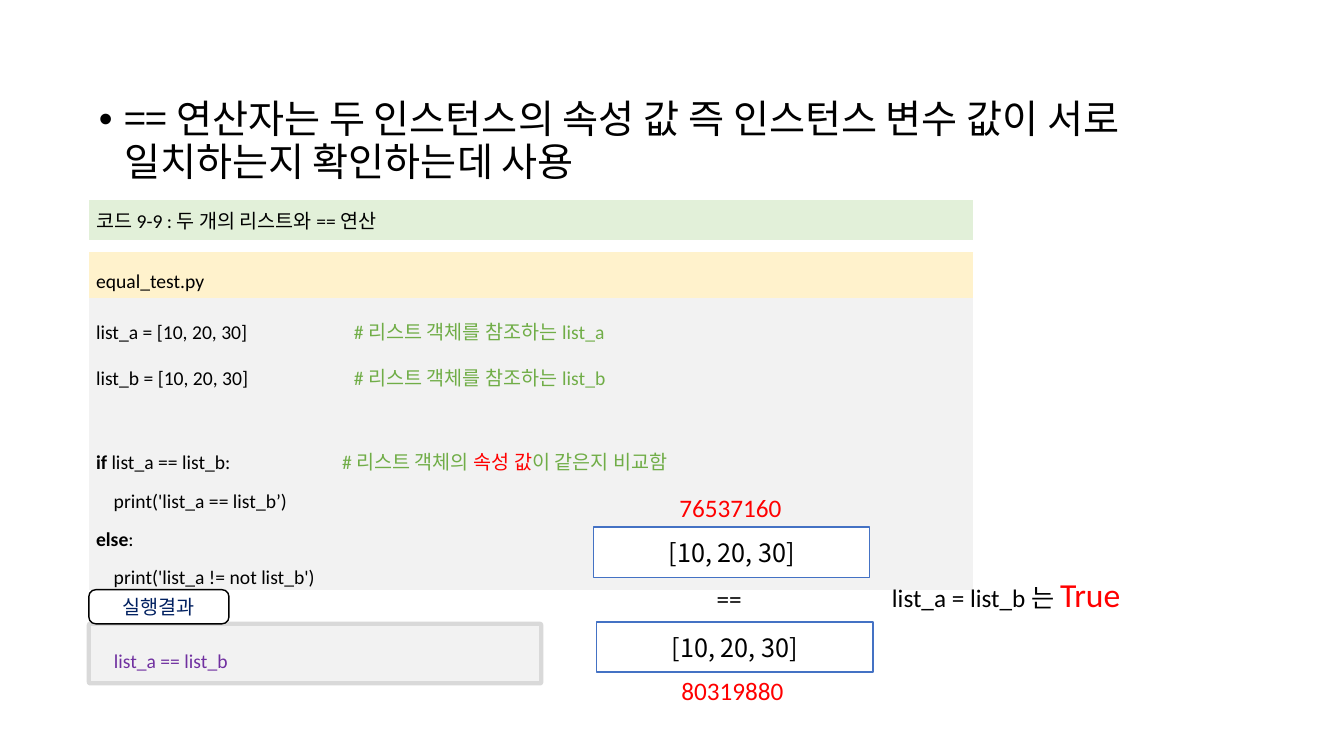
from pptx import Presentation
from pptx.dml.color import RGBColor
from pptx.enum.shapes import MSO_SHAPE
from pptx.enum.text import MSO_ANCHOR, MSO_AUTO_SIZE, PP_ALIGN
from pptx.oxml.ns import qn
from pptx.util import Cm, Pt
from lxml import etree

LEFT, CENTER, JUSTIFY = PP_ALIGN.LEFT, PP_ALIGN.CENTER, PP_ALIGN.JUSTIFY
MIDDLE = MSO_ANCHOR.MIDDLE
GROW = MSO_AUTO_SIZE.SHAPE_TO_FIT_TEXT
RECTANGLE, ROUNDED = MSO_SHAPE.RECTANGLE, MSO_SHAPE.ROUNDED_RECTANGLE
LATIN, KOREAN = "Calibri", "Noto Sans CJK KR"
BLACK, RED, GREEN = "000000", "FF0000", "70AD47"
NO_TABLE_STYLE = "{2D5ABB26-0587-4C30-8999-92F81FD0307C}"


def write(para, spans, size, font=LATIN, align=LEFT, spacing=None):
    """Fill a paragraph with (text, colour, bold) spans."""
    para.alignment = align
    para.line_spacing = spacing
    para.font.name = font
    para.font.size = Pt(size)
    for text, color, bold in spans:
        span = para.add_run()
        span.text = text
        span.font.color.rgb = RGBColor.from_string(color)
        if bold:
            span.font.bold = True


def add_box(kind, place, fill, line, width):
    box = slide.shapes.add_shape(kind, *[Cm(length) for length in place])
    box.shadow.inherit = False
    box.fill.solid()
    box.fill.fore_color.rgb = RGBColor.from_string(fill)
    box.line.color.rgb = RGBColor.from_string(line)
    box.line.width = Pt(width)
    box.text_frame.vertical_anchor = MIDDLE
    return box


deck = Presentation()
deck.slide_width, deck.slide_height = Cm(33.87), Cm(19.05)
slide = deck.slides.add_slide(deck.slide_layouts[6])

# Bulleted statement
statement = slide.shapes.add_textbox(Cm(2.24), Cm(2.39), Cm(29.21), Cm(2.5))
statement.text_frame.word_wrap = True
para = statement.text_frame.paragraphs[0]
properties = para._p.get_or_add_pPr()
properties.set("marL", str(Cm(0.64)))
properties.set("indent", str(-Cm(0.64)))
etree.SubElement(properties, qn("a:buFont"), typeface="Arial")
etree.SubElement(properties, qn("a:buChar"), char="•")
write(para, [("== 연산자는 두 인스턴스의 속성 값 즉 인스턴스 변수 값이 서로 일치하는지 확인하는데 사용", BLACK, False)],
      28, KOREAN, spacing=0.9)

# Code listing: caption, gap, file name, code
row_heights = [1.02, 0.3, 1.15, 7.38]
row_fills = ["E2F0D9", None, "FFF2CC", "F2F2F2"]
table = slide.shapes.add_table(4, 1, Cm(2.24), Cm(5.03), Cm(22.28), Cm(sum(row_heights))).table
table.first_row = table.horz_banding = False
table._tbl.tblPr.find(qn("a:tableStyleId")).text = NO_TABLE_STYLE
for row, height, fill in zip(table.rows, row_heights, row_fills):
    row.height = Cm(height)
    cell = row.cells[0]
    cell.vertical_anchor = MIDDLE
    cell.margin_left = cell.margin_right = Cm(0.18)
    cell.margin_top = cell.margin_bottom = Cm(0.05 if fill else 0)
    if fill:
        cell.fill.solid()
        cell.fill.fore_color.rgb = RGBColor.from_string(fill)
    else:
        cell.fill.background()
        cell.text_frame.paragraphs[0].font.size = Pt(1)

caption, file_name, code = [table.cell(row, 0).text_frame for row in (0, 2, 3)]
write(caption.paragraphs[0], [("코드 9-9 : 두 개의 리스트와 == 연산", BLACK, False)], 14)
write(file_name.paragraphs[0], [("equal_test.py", BLACK, False)], 14, align=JUSTIFY, spacing=1.6)
table.cell(3, 0).vertical_anchor = MSO_ANCHOR.TOP

# Each line: space before in points, comment tab stop in cm, spans
code_lines = [
    (0, 6.5, [("list_a = [10, 20, 30]\t", BLACK, False), ("# 리스트 객체를 참조하는 list_a", GREEN, False)]),
    (0, 6.5, [("list_b = [10, 20, 30]\t", BLACK, False), ("# 리스트 객체를 참조하는 list_b", GREEN, False)]),
    (27.5, 6.2, [("if ", BLACK, True), ("list_a == list_b:\t", BLACK, False), ("# 리스트 객체의 ", GREEN, False),
                 ("속성 값", RED, False), ("이 같은지 비교함", GREEN, False)]),
    (0, None, [("    print('list_a == list_b’)", BLACK, False)]),
    (0, None, [("else", BLACK, True), (":", BLACK, False)]),
    (0, None, [("    print('list_a != not list_b')", BLACK, False)]),
]
for number, (space, tab, spans) in enumerate(code_lines):
    para = code.add_paragraph() if number else code.paragraphs[0]
    if tab:
        tabs = etree.SubElement(para._p.get_or_add_pPr(), qn("a:tabLst"))
        etree.SubElement(tabs, qn("a:tab"), pos=str(Cm(tab)), algn="l")
    if space:
        para.space_before = Pt(space)
    write(para, spans, 14, align=JUSTIFY, spacing=1.6)

# Run result
result = add_box(ROUNDED, (2.24, 15.72, 11.4, 1.5), "F2F2F2", "D9D9D9", 3)
result.adjustments[0] = 0.02
result_tab = add_box(ROUNDED, (2.24, 14.86, 3.53, 0.86), "FFFFFF", BLACK, 1)
result_tab.adjustments[0] = 0.2
write(result_tab.text_frame.paragraphs[0], [("실행결과", "002060", False)], 14, KOREAN, CENTER)
output = slide.shapes.add_textbox(Cm(2.62), Cm(15.88), Cm(7.98), Cm(1.22))
output.text_frame.word_wrap = True
write(output.text_frame.paragraphs[0], [("list_a == list_b", "7030A0", False)], 14, align=JUSTIFY, spacing=1.6)

# Two list objects compared
for left, top in [(14.96, 13.28), (15.04, 15.67)]:
    list_box = add_box(RECTANGLE, (left, top, 6.96, 1.27), "FFFFFF", "4472C4", 1)
    write(list_box.text_frame.paragraphs[0], [("[10, 20, 30]", BLACK, False)], 18, KOREAN, CENTER)

labels = [
    (16.87, 12.29, 3.2, [("76537160", RED, False)]),
    (16.92, 16.89, 3.2, [("80319880", RED, False)]),
    (22.23, 14.33, 8.31, [("list_a = list_b 는 ", BLACK, False), ("True", RED, False)]),
    (17.81, 14.58, 1.14, [("==", BLACK, False)]),
]
for left, top, width, spans in labels:
    label = slide.shapes.add_textbox(Cm(left), Cm(top), Cm(width), Cm(1.02))
    label.text_frame.word_wrap = False
    label.text_frame.auto_size = GROW
    para = label.text_frame.paragraphs[0]
    write(para, spans, 18)
    if len(spans) > 1:
        para.runs[-1].font.size = Pt(24)

deck.save("out.pptx")
